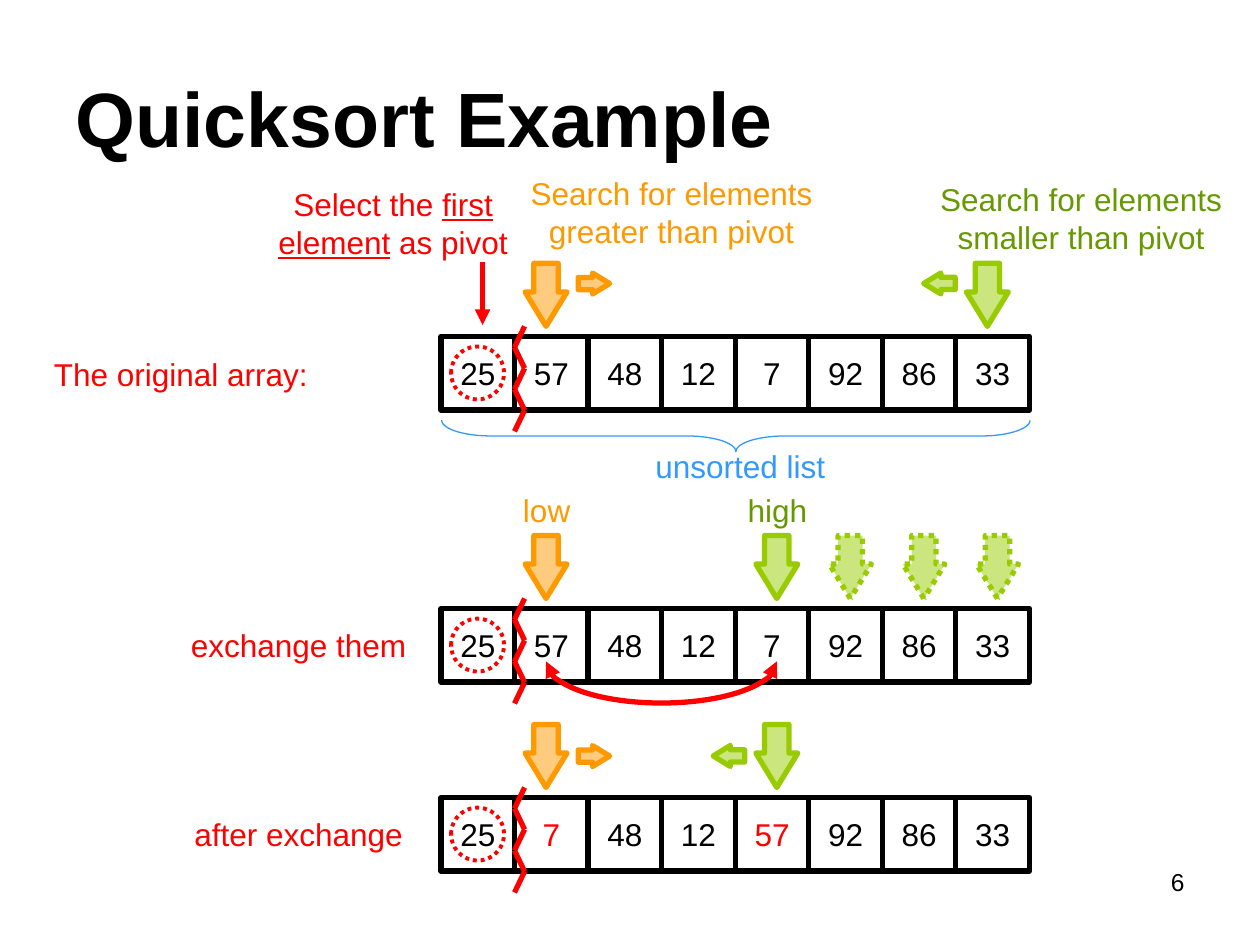
from lxml import etree
from pptx import Presentation
from pptx.dml.color import RGBColor
from pptx.enum.dml import MSO_LINE
from pptx.enum.shapes import MSO_CONNECTOR, MSO_SHAPE
from pptx.enum.text import MSO_ANCHOR, MSO_AUTO_SIZE, PP_ALIGN
from pptx.oxml.ns import qn
from pptx.util import Inches, Pt

RECTANGLE, OVAL = MSO_SHAPE.RECTANGLE, MSO_SHAPE.OVAL
LEFT_ARROW, ARC = MSO_SHAPE.LEFT_ARROW, MSO_SHAPE.ARC
RIGHT_BRACE = MSO_SHAPE.RIGHT_BRACE
STRAIGHT = MSO_CONNECTOR.STRAIGHT
DOTTED = MSO_LINE.ROUND_DOT
LEFT, CENTER, RIGHT = PP_ALIGN.LEFT, PP_ALIGN.CENTER, PP_ALIGN.RIGHT
MIDDLE = MSO_ANCHOR.MIDDLE
NO_AUTOFIT = MSO_AUTO_SIZE.NONE

FONT = "Arial"
BLACK, WHITE, RED, BLUE = "000000", "FFFFFF", "FF0000", "3399FF"
ORANGE, LIME, GREEN = "FF9900", "99CC00", "669900"
POINT_LEFT, POINT_RIGHT, POINT_DOWN = 0, 180, 270

ARRAY_LEFT, ARRAY_WIDTH = 3.5, 4.67
CELL = ARRAY_WIDTH / 8
ORIGINAL = [25, 57, 48, 12, 7, 92, 86, 33]
EXCHANGED = [25, 7, 48, 12, 57, 92, 86, 33]


def rgb(hex_colour):
    return RGBColor.from_string(hex_colour)


def write(paragraph, runs, size=18, align=CENTER, bold=False):
    """Add runs given as (text, colour, underlined)."""
    paragraph.alignment = align
    for text, colour, underlined in runs:
        run = paragraph.add_run()
        run.text = text
        run.font.name, run.font.size = FONT, Pt(size)
        run.font.bold, run.font.underline = bold, underlined
        run.font.color.rgb = rgb(colour)


def set_line(outline, colour, width, dash=None):
    outline.color.rgb = rgb(colour)
    outline.width = Pt(width)
    if dash:
        outline.dash_style = dash


def add_heads(part, *ends):
    ln = part.element.spPr.find(qn("a:ln"))
    for end in ends:
        etree.SubElement(ln, qn(f"a:{end}"), type="triangle")


def add_outline(slide, preset, box, colour, width, fill=None, dash=None):
    shape = slide.shapes.add_shape(preset, *map(Inches, box))
    shape.shadow.inherit = False
    if fill:
        shape.fill.solid()
        shape.fill.fore_color.rgb = rgb(fill)
    else:
        shape.fill.background()
    set_line(shape.line, colour, width, dash)
    return shape


def add_stroke(shapes, start, end):
    stroke = shapes.add_connector(STRAIGHT, *map(Inches, start + end))
    set_line(stroke.line, RED, 3)
    etree.SubElement(stroke.element.spPr, qn("a:effectLst"))
    return stroke


def add_label(slide, box, runs, size=18, align=CENTER):
    frame = slide.shapes.add_textbox(*map(Inches, box)).text_frame
    frame.word_wrap = True
    write(frame.paragraphs[0], runs, size, align)


def add_arrow(slide, center_x, center_y, length, colour, direction, dash=None):
    height = length * 2 / 3
    box = (center_x - length / 2, center_y - height / 2, length, height)
    arrow = add_outline(slide, LEFT_ARROW, box, colour, 3, colour, dash)
    arrow.rotation = direction
    arrow.adjustments[0], arrow.adjustments[1] = 0.58, 0.82
    tint = arrow.element.spPr.find(qn("a:solidFill"))[0]
    etree.SubElement(tint, qn("a:alpha"), val="50000")


def add_pointer(slide, center_x, array_top, colour, dash=None):
    add_arrow(slide, center_x, array_top - 0.33, 0.5, colour, POINT_DOWN, dash)


def add_step(slide, pointer_x, center_y, colour, direction):
    """Small arrow beside a pointer, showing which way it moves."""
    offset = 0.38 if direction == POINT_RIGHT else -0.38
    add_arrow(slide, pointer_x + offset, center_y, 0.25, colour, direction)


def add_array(slide, left, top, width, values, changed=()):
    side = width / len(values)
    # Cells
    for i, value in enumerate(values):
        cell = add_outline(slide, RECTANGLE, (left + i * side, top, side, side),
                           BLACK, 3, WHITE)
        frame = cell.text_frame
        frame.word_wrap = False
        frame.vertical_anchor = MIDDLE
        colour = RED if i in changed else BLACK
        write(frame.paragraphs[0], [(str(value), colour, False)])
    # Ring around the pivot
    add_outline(slide, OVAL, (left + 0.08, top + 0.08, 0.42, 0.42), RED, 2.25,
                dash=DOTTED)
    # Zigzag between the pivot and the rest
    zigzag = slide.shapes.add_group_shape()
    corners = [(left + side + (0.08 if i % 2 == 0 else 0), top - 0.08 + i / 6)
               for i in range(6)]
    for start, end in zip(corners, corners[1:]):
        add_stroke(zigzag.shapes, start, end)


def add_title(slide, box, text):
    title = slide.shapes.title
    title.left, title.top, title.width, title.height = map(Inches, box)
    frame = title.text_frame
    frame.auto_size = NO_AUTOFIT
    frame.vertical_anchor = MIDDLE
    write(frame.paragraphs[0], [(text, BLACK, False)], 44, LEFT, True)


def add_search_stage(slide, left, top, width):
    add_array(slide, left, top, width, ORIGINAL)
    # Unsorted range
    brace = add_outline(slide, RIGHT_BRACE,
                        (left + width / 2 - 0.12, top + 0.79 - width / 2, 0.25, width),
                        BLUE, 0.75)
    brace.rotation = 90
    brace.adjustments[0], brace.adjustments[1] = 1.56, 0.5
    add_label(slide, (5, top + 0.83, 1.75, 0.4), [("unsorted list", BLUE, False)])
    # Pivot choice
    add_label(slide, (2.08, top - 1.25, 2.08, 0.7),
              [("Select the ", RED, False), ("first element", RED, True),
               (" as pivot", RED, False)])
    pivot = add_stroke(slide.shapes, (left + 0.33, top - 0.59),
                       (left + 0.33, top - 0.09))
    add_heads(pivot, "tailEnd")
    add_label(slide, (0.33, top + 0.1, 2.92, 0.4),
              [("The original array:", RED, False)], align=LEFT)
    # Searches from both ends
    searches = [(4.08, top - 1.34, "greater", ORANGE, ORANGE, 1, POINT_RIGHT),
                (7.33, top - 1.29, "smaller", GREEN, LIME, 7, POINT_LEFT)]
    for x, y, relation, ink, colour, index, direction in searches:
        add_label(slide, (x, y, 2.5, 0.7),
                  [(f"Search for elements {relation} than pivot", ink, False)])
        pointer_x = left + index * CELL + 0.25
        add_pointer(slide, pointer_x, top, colour)
        add_step(slide, pointer_x, top - 0.42, colour, direction)


def add_exchange_stage(slide, left, top, width):
    add_array(slide, left, top, width, ORIGINAL)
    low_x, high_x = left + CELL + 0.25, left + 4 * CELL + 0.33
    # Double-headed swap curve
    swap = add_outline(slide, ARC, (low_x, top + 0.09, high_x - low_x, 0.66), RED, 3)
    swap.adjustments[0], swap.adjustments[1] = 0, 108
    add_heads(swap, "headEnd", "tailEnd")
    # Passed and current positions
    for index in (7, 6, 5):
        add_pointer(slide, left + index * CELL + 0.33, top, LIME, DOTTED)
    for x, name, ink, colour in ((low_x, "low", ORANGE, ORANGE),
                                 (high_x, "high", GREEN, LIME)):
        add_pointer(slide, x, top, colour)
        add_label(slide, (x - 0.66, top - 0.98, 1.33, 0.4), [(name, ink, False)])
    add_label(slide, (1.33, top + 0.09, 2.08, 0.4), [("exchange them", RED, False)])


def add_result_stage(slide, left, top, width):
    add_array(slide, left, top, width, EXCHANGED, changed=(1, 4))
    for x, colour, direction in ((left + CELL + 0.25, ORANGE, POINT_RIGHT),
                                 (left + 4 * CELL + 0.33, LIME, POINT_LEFT)):
        add_pointer(slide, x, top, colour)
        add_step(slide, x, top - 0.33, colour, direction)
    add_label(slide, (1.33, top + 0.09, 2.08, 0.4), [("after exchange", RED, False)])


def main():
    deck = Presentation()
    deck.slide_width, deck.slide_height = Inches(10), Inches(7.5)
    slide = deck.slides.add_slide(deck.slide_layouts[5])
    add_title(slide, (0.5, 0.3, 9, 1.25), "Quicksort Example")
    add_search_stage(slide, ARRAY_LEFT, 2.67, ARRAY_WIDTH)
    add_exchange_stage(slide, ARRAY_LEFT, 4.83, ARRAY_WIDTH)
    add_result_stage(slide, ARRAY_LEFT, 6.33, ARRAY_WIDTH)
    add_label(slide, (7.17, 6.83, 2.33, 0.52), [("6", BLACK, False)], 14, RIGHT)
    deck.save("out.pptx")


if __name__ == "__main__":
    main()
